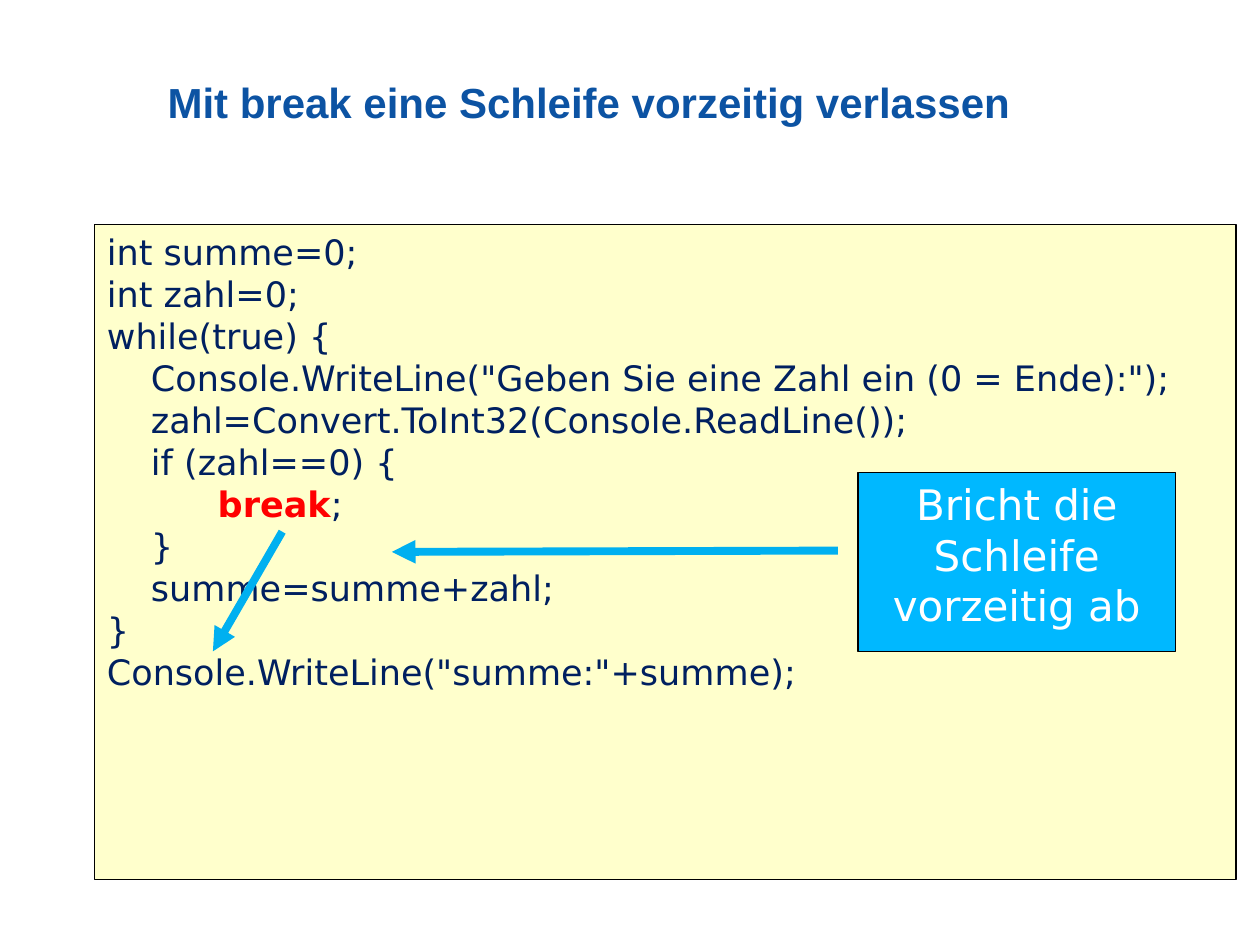
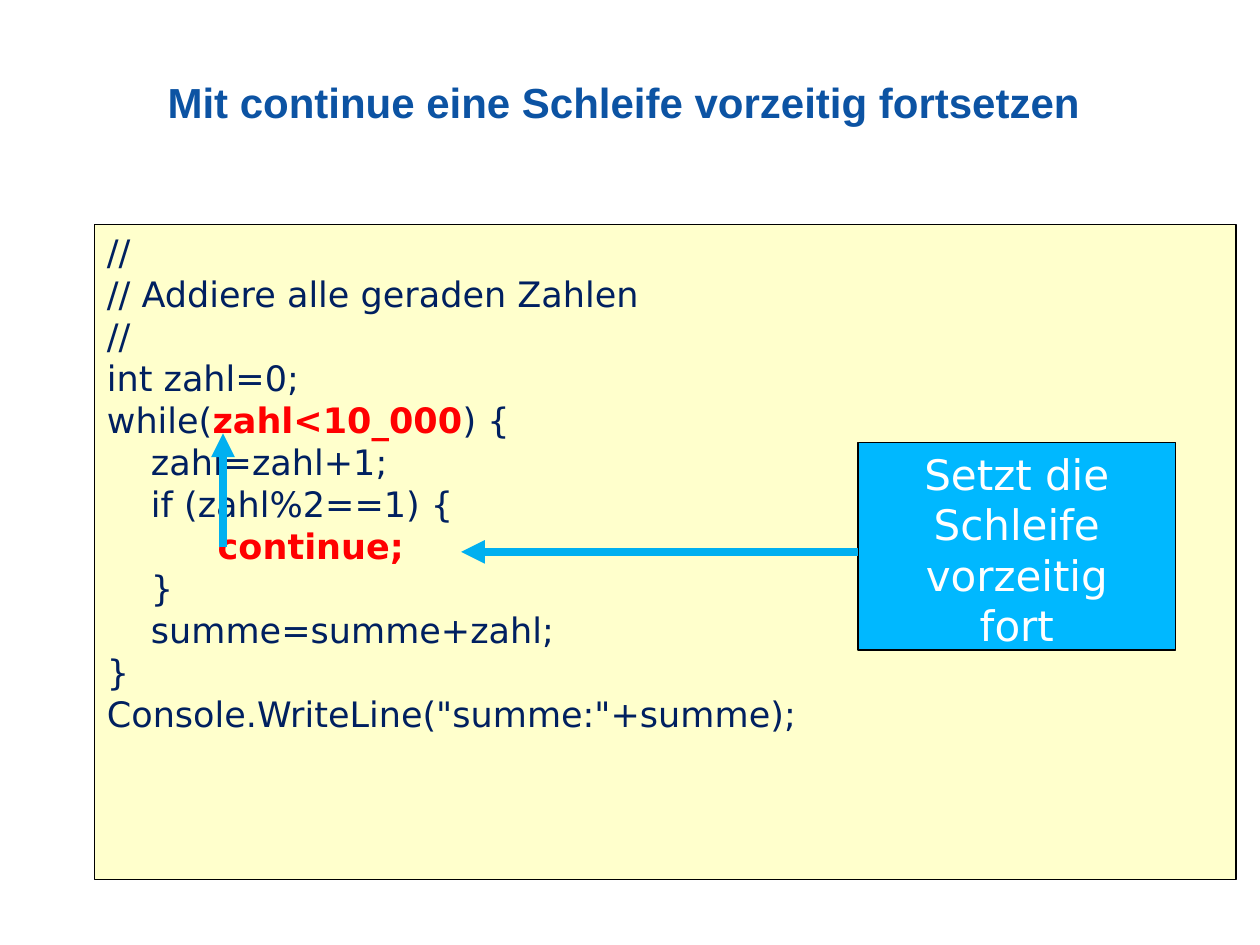
from dataclasses import dataclass

from lxml import etree
from pptx import Presentation
from pptx.dml.color import RGBColor
from pptx.enum import shapes, text
from pptx.oxml import ns
from pptx.shapes.autoshape import Shape
from pptx.slide import Slide
from pptx.util import Inches, Pt

TITLE_BLUE = RGBColor(0x0C, 0x53, 0xA3)
CODE_NAVY = RGBColor(0x00, 0x20, 0x60)
KEYWORD_RED = RGBColor(0xFF, 0x00, 0x00)
PANEL_YELLOW = RGBColor(0xFF, 0xFF, 0xCC)
CALLOUT_BLUE = RGBColor(0x00, 0xB8, 0xFF)
ARROW_BLUE = RGBColor(0x00, 0xB0, 0xF0)
BLACK = RGBColor(0x00, 0x00, 0x00)
WHITE = RGBColor(0xFF, 0xFF, 0xFF)

TITLE_FONT = "Arial"
BODY_FONT = "DejaVu Sans"
INDENTS = (0, 0.35, 0.88)  # inches per nesting level of the code
EMPHASIS = "*"  # encloses the emphasised part of a code line


@dataclass(frozen=True)
class Box:
    left: float
    top: float
    width: float
    height: float

    def lengths(self) -> tuple[Inches, ...]:
        return tuple(Inches(v) for v in (self.left, self.top, self.width, self.height))


@dataclass(frozen=True)
class Line:
    text: str
    level: int = 0


@dataclass(frozen=True)
class Arrow:
    start: tuple[float, float]
    end: tuple[float, float]


@dataclass(frozen=True)
class LoopSlide:
    title: str
    code: tuple[Line, ...]
    callout: tuple[Line, ...]
    callout_box: Box
    arrows: tuple[Arrow, ...]


TITLE_BOX = Box(1.33, 0.33, 8.5, 1)
CODE_BOX = Box(0.75, 1.78, 9.06, 5.2)

LOOP_SLIDES = (
    LoopSlide(
        title="Mit break eine Schleife vorzeitig verlassen",
        code=(
            Line("int summe=0;"),
            Line("int zahl=0;"),
            Line("while(true) {"),
            Line('Console.WriteLine("Geben Sie eine Zahl ein (0 = Ende):");', 1),
            Line("zahl=Convert.ToInt32(Console.ReadLine());", 1),
            Line("if (zahl==0) {", 1),
            Line("*break*;", 2),
            Line("}", 1),
            Line("summe=summe+zahl;", 1),
            Line("}"),
            Line('Console.WriteLine("summe:"+summe);'),
        ),
        callout=(Line("Bricht die Schleife"), Line("vorzeitig ab")),
        callout_box=Box(6.81, 3.75, 2.52, 1.42),
        arrows=(
            Arrow((6.65, 4.37), (3.11, 4.38)),
            Arrow((2.24, 4.22), (1.69, 5.17)),
        ),
    ),
    LoopSlide(
        title="Mit continue eine Schleife vorzeitig fortsetzen",
        code=(
            Line("//"),
            Line("// Addiere alle geraden Zahlen"),
            Line("//"),
            Line("int zahl=0;"),
            Line("while(*zahl<10_000*) {"),
            Line("zahl=zahl+1;", 1),
            Line("if (zahl%2==1) {", 1),
            Line("*continue;*", 2),
            Line("}", 1),
            Line("summe=summe+zahl;", 1),
            Line("}"),
            Line('Console.WriteLine("summe:"+summe);'),
        ),
        callout=(Line("Setzt die Schleife\nvorzeitig\nfort"),),
        callout_box=Box(6.81, 3.51, 2.52, 1.65),
        arrows=(
            Arrow((6.81, 4.38), (3.66, 4.38)),
            Arrow((1.77, 4.34), (1.77, 3.44)),
        ),
    ),
)


def write_text(
    shape: Shape,
    lines: tuple[Line, ...],
    *,
    font: str,
    size: float,
    color: RGBColor,
    bold: bool = False,
    align: text.PP_ALIGN = text.PP_ALIGN.LEFT,
    anchor: text.MSO_ANCHOR = text.MSO_ANCHOR.TOP,
    margins: tuple[float, float] = (0.1, 0.05),
    line_spacing: float = 1.0,
) -> None:
    """Write one paragraph per line; marked parts turn red and bold."""
    frame = shape.text_frame
    frame.word_wrap = True
    frame.vertical_anchor = anchor
    frame.margin_left = frame.margin_right = Inches(margins[0])
    frame.margin_top = frame.margin_bottom = Inches(margins[1])
    for number, line in enumerate(lines):
        paragraph = frame.add_paragraph() if number else frame.paragraphs[0]
        paragraph.alignment = align
        paragraph.line_spacing = line_spacing
        if line.level:
            properties = paragraph._p.get_or_add_pPr()
            properties.set("marL", str(Inches(INDENTS[line.level])))
            properties.set("indent", "0")
        for row_number, row in enumerate(line.text.split("\n")):
            if row_number:
                paragraph.add_line_break()
            for part_number, part in enumerate(row.split(EMPHASIS)):
                if not part:
                    continue
                emphasised = part_number % 2 == 1
                run = paragraph.add_run()
                run.text = part
                run.font.name = font
                run.font.size = Pt(size)
                run.font.bold = bold or emphasised
                run.font.color.rgb = KEYWORD_RED if emphasised else color


def add_panel(slide: Slide, box: Box, fill: RGBColor) -> Shape:
    panel = slide.shapes.add_shape(shapes.MSO_SHAPE.RECTANGLE, *box.lengths())
    panel.shadow.inherit = False
    panel.fill.solid()
    panel.fill.fore_color.rgb = fill
    panel.line.color.rgb = BLACK
    panel.line.width = Pt(0.75)
    return panel


def add_arrow(slide: Slide, arrow: Arrow) -> None:
    connector = slide.shapes.add_connector(
        shapes.MSO_CONNECTOR.STRAIGHT,
        *(Inches(value) for value in arrow.start + arrow.end),
    )
    connector.line.color.rgb = ARROW_BLUE
    connector.line.width = Pt(4.5)
    outline = connector.line._get_or_add_ln()
    etree.SubElement(outline, ns.qn("a:tailEnd"), type="triangle")
    etree.SubElement(connector._element.spPr, ns.qn("a:effectLst"))


def add_loop_slide(presentation: Presentation, content: LoopSlide) -> None:
    slide = presentation.slides.add_slide(presentation.slide_layouts[6])
    title = slide.shapes.add_textbox(*TITLE_BOX.lengths())
    write_text(
        title,
        (Line(content.title),),
        font=TITLE_FONT,
        size=24,
        color=TITLE_BLUE,
        bold=True,
        anchor=text.MSO_ANCHOR.MIDDLE,
        margins=(0, 0),
        line_spacing=0.95,
    )
    code_panel = add_panel(slide, CODE_BOX, PANEL_YELLOW)
    write_text(code_panel, content.code, font=BODY_FONT, size=20, color=CODE_NAVY)
    callout = add_panel(slide, content.callout_box, CALLOUT_BLUE)
    write_text(
        callout,
        content.callout,
        font=BODY_FONT,
        size=24,
        color=WHITE,
        align=text.PP_ALIGN.CENTER,
    )
    for arrow in content.arrows:
        add_arrow(slide, arrow)


def main() -> None:
    presentation = Presentation()
    presentation.slide_width = Inches(10)
    presentation.slide_height = Inches(7.5)
    for content in LOOP_SLIDES:
        add_loop_slide(presentation, content)
    presentation.save("out.pptx")


if __name__ == "__main__":
    main()
